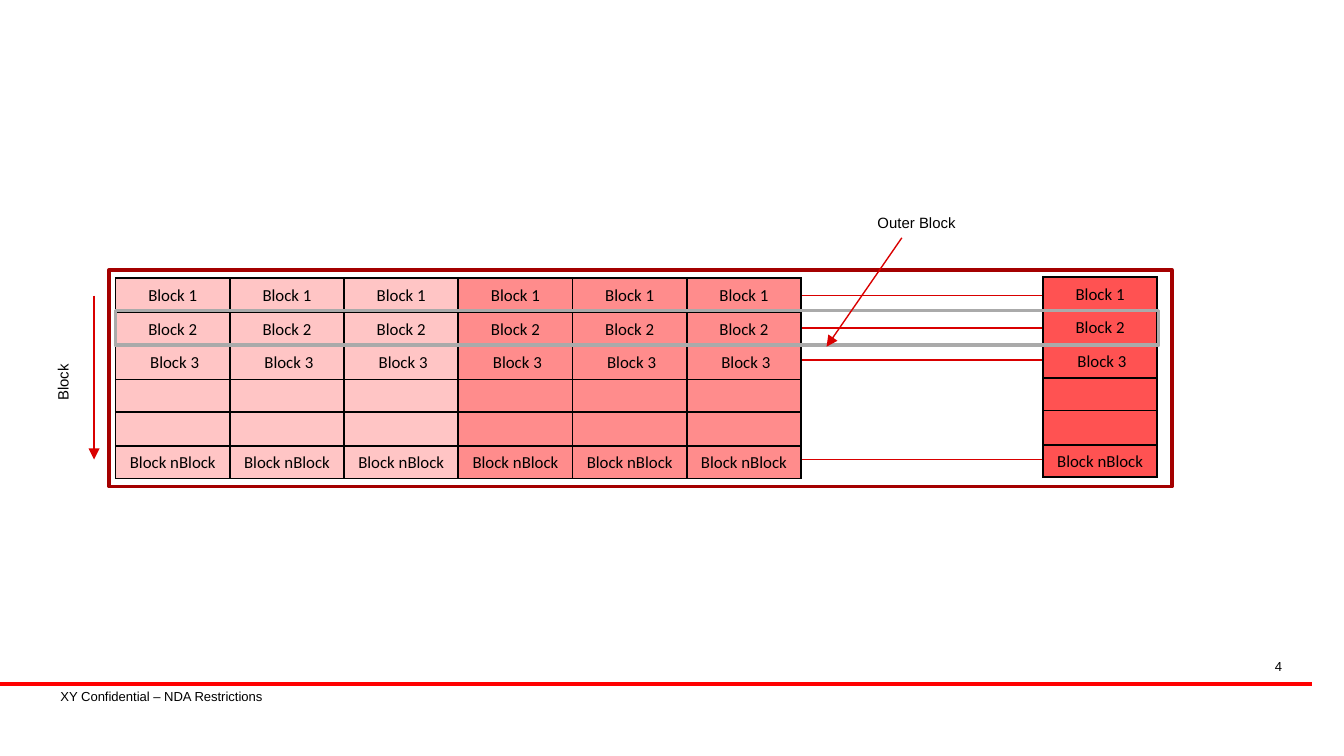
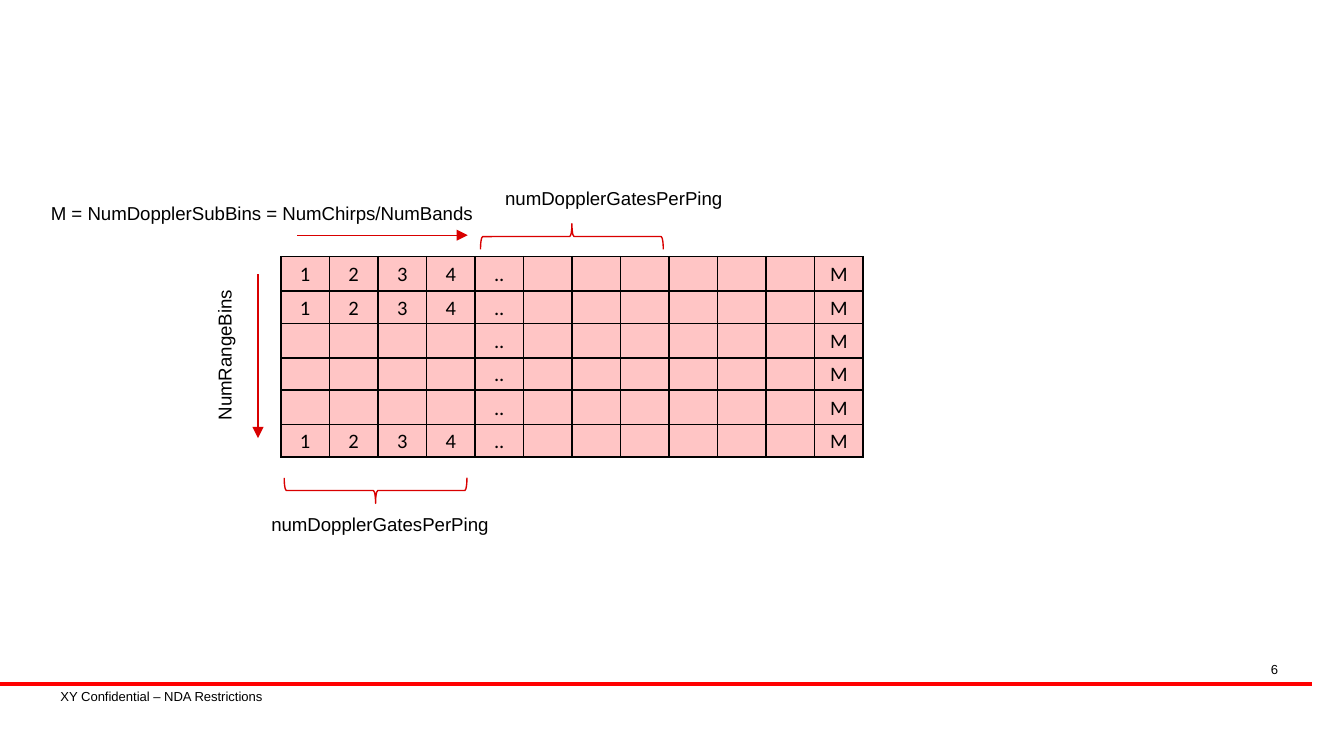
from lxml import etree
from pptx import Presentation
from pptx.dml.color import RGBColor
from pptx.enum.shapes import MSO_CONNECTOR, MSO_SHAPE
from pptx.enum.text import MSO_ANCHOR, PP_ALIGN
from pptx.oxml.ns import qn
from pptx.util import Inches, Pt

LEFT, CENTER, RIGHT = PP_ALIGN.LEFT, PP_ALIGN.CENTER, PP_ALIGN.RIGHT
MIDDLE = MSO_ANCHOR.MIDDLE
STRAIGHT = MSO_CONNECTOR.STRAIGHT
RECT, BRACE = MSO_SHAPE.RECTANGLE, MSO_SHAPE.LEFT_BRACE

BLACK = RGBColor(0x00, 0x00, 0x00)
RED = RGBColor(0xFF, 0x00, 0x00)
LINE_RED = RGBColor(0xD9, 0x00, 0x00)
FRAME_RED = RGBColor(0xA4, 0x00, 0x00)
GRAY = RGBColor(0xAA, 0xAA, 0xAA)
PALE = RGBColor(0xFF, 0xC5, 0xC5)
MEDIUM = RGBColor(0xFF, 0x8C, 0x8C)
STRONG = RGBColor(0xFF, 0x52, 0x52)

ROW_HEIGHTS = [Inches(18.4 / 72), Inches(17.4 / 72)] * 3


def write(tf, text, size=8, font="Arial", align=LEFT, spacing=None):
    p = tf.paragraphs[0]
    p.alignment = align
    if spacing:
        p.line_spacing = spacing
    if not text:
        # An empty cell keeps its row low only with a small end mark
        etree.SubElement(p._p, qn("a:endParaRPr"), sz=str(size * 100))
        return
    r = p.add_run()
    r.text = text
    r.font.size = Pt(size)
    r.font.name = font
    r.font.color.rgb = BLACK


def draw_line(s, x1, y1, x2, y2, color=LINE_RED, width=0.75, arrow=False):
    line = s.shapes.add_connector(
        STRAIGHT, Inches(x1), Inches(y1), Inches(x2), Inches(y2))
    line.line.color.rgb = color
    line.line.width = Pt(width)
    if arrow:
        etree.SubElement(line.line._get_or_add_ln(), qn("a:tailEnd"),
                         type="triangle")
    etree.SubElement(line._element.spPr, qn("a:effectLst"))


prs = Presentation()
prs.slide_width = Inches(10)
prs.slide_height = prs.slide_width * 9 // 16
blocks = prs.slides.add_slide(prs.slide_layouts[6])
bins = prs.slides.add_slide(prs.slide_layouts[6])

# Footer band and page number
for s, number, left, top in [(blocks, "4", 7.29, 4.86), (bins, "6", 7.26, 4.88)]:
    draw_line(s, 0, 5.09, 9.76, 5.09, RED, 2.25)
    for text, x, y, w, h, align in [
        ("XY Confidential – NDA Restrictions", 0.37, 5.08, 2.31, 0.2, LEFT),
        (number, left, top, 2.33, 0.17, RIGHT),
    ]:
        box = s.shapes.add_textbox(Inches(x), Inches(y), Inches(w), Inches(h))
        tf = box.text_frame
        tf.word_wrap = True
        tf.margin_left = tf.margin_right = Inches(0.08)
        tf.margin_top = tf.margin_bottom = Inches(0.04)
        write(tf, text, size=7, align=align)

# Lines that run behind the last block column
for y in [2.2, 2.44, 2.68, 3.42]:
    draw_line(blocks, 5.96, y, 8.51, y)

# Tables: six adjoining block columns, the last column, the bin grid
block_rows = [["Block 1"], ["Block 2"], [" Block 3"], [""], [""], ["Block nBlock"]]
numbered = ["1", "2", "3", "4", ".."] + [""] * 6 + ["M"]
unnumbered = [""] * 4 + numbered[4:]
bin_rows = [numbered] * 2 + [unnumbered] * 3 + [numbered]

tables = [(blocks, 0.86 + 0.85 * i, 2.07, 0.85, block_rows, fill, 9)
          for i, fill in enumerate([PALE] * 3 + [MEDIUM] * 3)]
tables.append((blocks, 7.76, 2.06, 0.85, block_rows, STRONG, 9))
tables.append((bins, 2.09, 1.91, 26 / 72, bin_rows, PALE, 11))

for s, left, top, col_width, rows, fill, size in tables:
    cols = len(rows[0])
    table = s.shapes.add_table(
        len(rows), cols, Inches(left), Inches(top),
        Inches(col_width * cols), sum(ROW_HEIGHTS)).table
    table.first_row = table.horz_banding = False
    for col in table.columns:
        col.width = Inches(col_width)
    for i, (row, height) in enumerate(zip(rows, ROW_HEIGHTS)):
        table.rows[i].height = height
        for j, text in enumerate(row):
            cell = table.cell(i, j)
            cell.margin_left = cell.margin_right = Inches(0.07)
            cell.margin_top = cell.margin_bottom = 0
            cell.vertical_anchor = MIDDLE
            for side in ["lnL", "lnR", "lnT", "lnB"]:
                ln = etree.SubElement(cell._tc.get_or_add_tcPr(),
                                      qn("a:" + side), w=str(Pt(1)))
                solid = etree.SubElement(ln, qn("a:solidFill"))
                etree.SubElement(solid, qn("a:srgbClr"), val=str(BLACK))
            cell.fill.solid()
            cell.fill.fore_color.rgb = fill
            write(cell.text_frame, text, size, "Calibri", CENTER, 1.07)

# Frames and braces
for s, kind, x, y, w, h, rotation, color, width in [
    (blocks, RECT, 0.81, 2.01, 7.91, 1.61, 0, FRAME_RED, 2),
    (blocks, RECT, 0.86, 2.31, 7.76, 0.26, 0, GRAY, 2),
    (bins, BRACE, 2.7, 2.97, 0.19, 1.36, 270, LINE_RED, 0.75),
    (bins, BRACE, 4.16, 1.08, 0.19, 1.36, 90, LINE_RED, 0.75),
]:
    sp = s.shapes.add_shape(kind, Inches(x), Inches(y), Inches(w), Inches(h))
    sp.shadow.inherit = False
    sp.fill.background()
    sp.line.color.rgb = color
    sp.line.width = Pt(width)
    sp.rotation = rotation

# Arrows
for s, x1, y1, x2, y2 in [
    (blocks, 0.7, 2.2, 0.7, 3.42),
    (blocks, 6.71, 1.77, 6.15, 2.58),
    (bins, 2.21, 1.75, 3.48, 1.75),
    (bins, 1.92, 2.04, 1.92, 3.26),
]:
    draw_line(s, x1, y1, x2, y2, arrow=True)

# Labels
for s, text, x, y, w, h, rotation, size in [
    (blocks, "Block", 0.03, 2.52, 0.88, 0.24, 270, 8),
    (blocks, "Outer Block", 6.43, 1.54, 1.42, 0.24, 0, 8),
    (bins, "M = NumDopplerSubBins = NumChirps/NumBands",
     0.28, 1.45, 3.62, 0.27, 0, 10),
    (bins, "NumRangeBins", 0.03, 1.45, 3.28, 0.27, 270, 10),
    (bins, "numDopplerGatesPerPing", 3.66, 1.34, 3.61, 0.27, 0, 10),
    (bins, "numDopplerGatesPerPing", 1.92, 3.77, 3.61, 0.27, 0, 10),
]:
    box = s.shapes.add_textbox(Inches(x), Inches(y), Inches(w), Inches(h))
    box.rotation = rotation
    box.text_frame.word_wrap = True
    write(box.text_frame, text, size)

prs.save("out.pptx")
